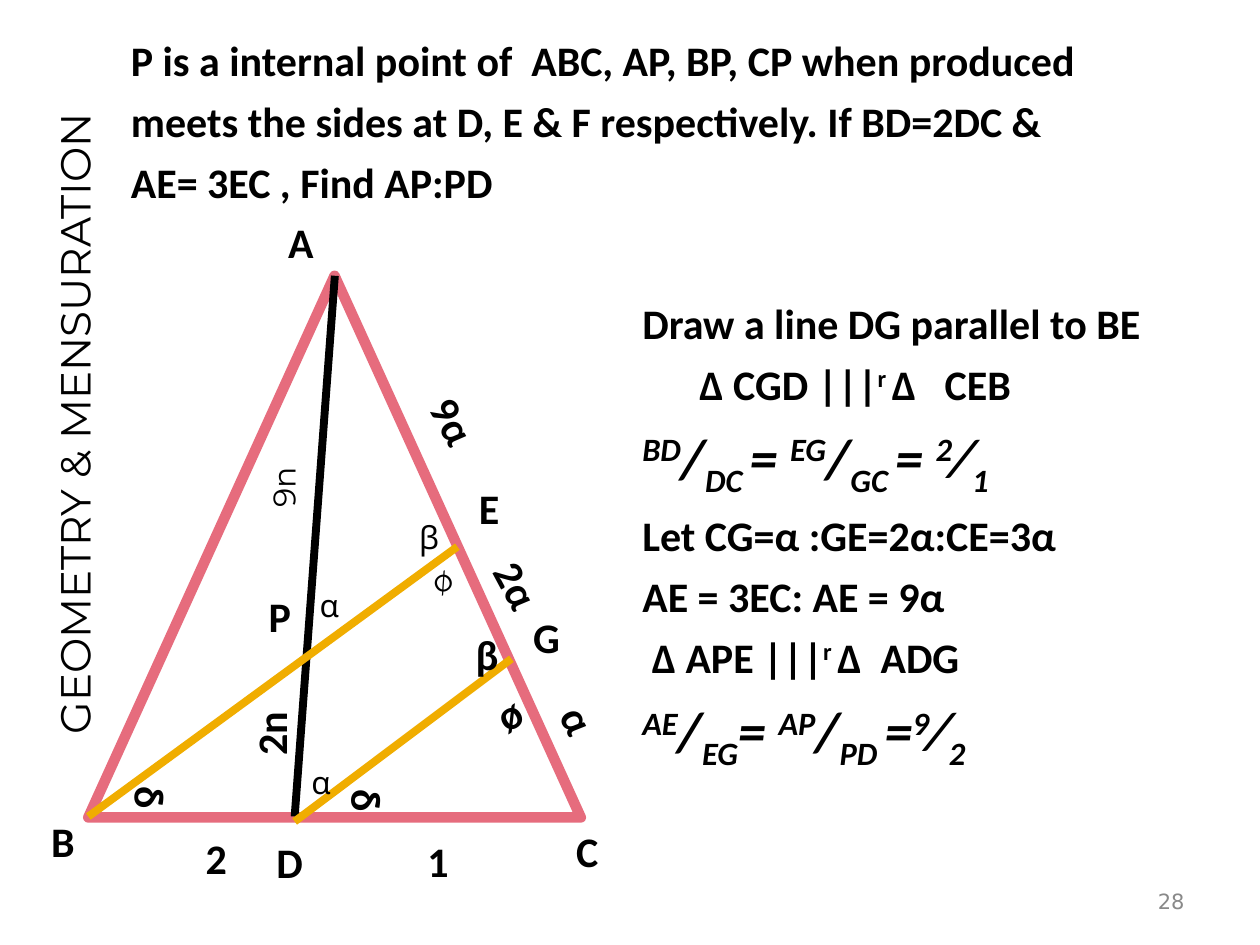
import dataclasses

import lxml.etree
import pptx
import pptx.dml.color
import pptx.enum.shapes
import pptx.enum.text
import pptx.oxml.ns
import pptx.util

Cm = pptx.util.Cm
Pt = pptx.util.Pt
Align = pptx.enum.text.PP_ALIGN
Anchor = pptx.enum.text.MSO_ANCHOR


def rgb(value):
    return pptx.dml.color.RGBColor.from_string(value)


@dataclasses.dataclass(frozen=True)
class Theme:
    ink: object = rgb("000000")
    paper: object = rgb("FFFFFF")
    muted: object = rgb("898989")
    side: object = rgb("E66C7D")
    parallel: object = rgb("F0AD00")
    side_width: object = Pt(6)
    inner_width: object = Pt(4.5)

    def style(self, name):
        return {
            "bold": {"name": "Calibri", "size": Pt(24), "bold": True},
            "ratio": {"name": "Calibri", "size": Pt(32), "bold": True, "italic": True},
            "light": {"name": "Montserrat", "size": Pt(18)},
            "topic": {"name": "Montserrat", "size": Pt(24)},
            "number": {"name": "DejaVu Sans", "size": Pt(12)},
        }[name]


THEME = Theme()
UP, DOWN = 30, -25

TRIANGLE = (1.78, 5.56, 9.93, 10.92)
A, B, D, E, G = (6.75, 5.56), (1.78, 16.46), (5.94, 16.46), (9.22, 11.02), (10.31, 13.28)
D_LOW = (5.94, 16.56)

VERTEX, MARK = (2.54, 2.54), (1.4, 1.78)
LABELS = [
    ("A", "bold", (5.56, 4.37), (0.99, 0.99), 0),
    ("B", "bold", (0, 15.67), VERTEX, 0),
    ("D", "bold", (4.57, 16.1), VERTEX, 0),
    ("C", "bold", (10.57, 15.88), VERTEX, 0),
    ("E", "bold", (8.59, 8.97), VERTEX, 0),
    ("P", "bold", (4.37, 11.15), VERTEX, 0),
    ("G", "bold", (9.75, 11.56), VERTEX, 0),
    ("α", "light", (5.94, 11.3), MARK, 0),
    ("α", "light", (5.77, 14.88), MARK, 0),
    ("β", "light", (7.95, 9.93), MARK, 0),
    ("β", "bold", (9.12, 12.29), MARK, 0),
    ("ø", "bold", (9.68, 13.72), MARK, 150.2),
    ("ø", "light", (8.28, 10.95), MARK, 150.2),
    ("δ", "bold", (6.76, 15.42), (1.32, 1.45), 90),
    ("δ", "bold", (2.44, 15.37), (1.22, 1.42), 90),
    ("9n", "light", (4.55, 9.25), (2.31, 1.14), 270),
    ("2n", "bold", (4.47, 14), (1.96, 1.57), 270),
    ("9α", "bold", (8.08, 7.7), (2.13, 1.57), 61.1),
    ("2α", "bold", (9.37, 11), (2.13, 1.6), 61.8),
    ("2", "bold", (3.66, 16.41), MARK, 0),
    ("1", "bold", (8.13, 16.46), MARK, 0),
    ("α", "bold", (10.87, 13.77), (1.6, 1.47), 63),
]

QUESTION = [
    "P is a internal point of  ABC, AP, BP, CP when produced",
    "meets the sides at D, E & F respectively. If BD=2DC & ",
    "AE= 3EC , Find AP:PD",
]


def fraction(top, slash, bottom, follow=""):
    parts = [(top, UP), (slash, 0), (bottom, DOWN), (follow, 0)]
    return [part for part in parts if part[0]]


def similar(first, second):
    return [(first, 0), ("r ", UP), (second, 0)]


PROOF = [
    ("bold", 0, [("Draw a line DG parallel to BE", 0)]),
    ("bold", 1.15, similar("∆ CGD |||", "∆   CEB")),
    ("ratio", 0, fraction("BD", "/", "DC ", "= ")
     + fraction("EG", "/", "GC ", "= ") + fraction("2", "⁄", "1")),
    ("bold", 0, [("Let CG=α :GE=2α:CE=3α", 0)]),
    ("bold", 0, [("AE = 3EC: AE = 9α", 0)]),
    ("bold", 0.19, similar("∆ APE |||", "∆  ADG")),
    ("ratio", 0, fraction("AE", "/", "EG", "= ")
     + fraction("AP", "/", "PD ", "=") + fraction("9", "⁄", "2")),
]


def assign(target, values):
    for name, value in values.items():
        setattr(target, name, value)


def add_box(page, place, anchor=Anchor.TOP, rotation=0):
    box = page.shapes.add_textbox(*map(Cm, place))
    box.rotation = rotation
    assign(box.text_frame, {"word_wrap": True, "vertical_anchor": anchor})
    return box.text_frame


def add_span(para, text, style, color=THEME.ink, baseline=0):
    span = para.add_run()
    span.text = text
    assign(span.font, THEME.style(style))
    span.font.color.rgb = color
    if baseline:
        span.font._element.set("baseline", str(baseline * 1000))


def add_label(page, text, style, place, rotation=0, align=Align.CENTER, color=THEME.ink):
    para = add_box(page, place, Anchor.MIDDLE, rotation).paragraphs[0]
    para.alignment = align
    add_span(para, text, style, color)


def add_lines(page, place, lines, align=Align.LEFT):
    frame = add_box(page, place)
    for index, (style, indent, spans) in enumerate(lines):
        para = frame.add_paragraph() if index else frame.paragraphs[0]
        para.alignment = align
        if index:
            para.space_before = Pt(8 if style == "ratio" else 6)
        if indent:
            para._p.get_or_add_pPr().set("marL", str(Cm(indent)))
        for text, baseline in spans:
            add_span(para, text, style, baseline=baseline)


def add_triangle(page):
    shape = page.shapes.add_shape(
        pptx.enum.shapes.MSO_SHAPE.ISOSCELES_TRIANGLE, *map(Cm, TRIANGLE))
    shape.shadow.inherit = False
    shape.fill.solid()
    shape.fill.fore_color.rgb = THEME.paper
    shape.line.color.rgb = THEME.side
    shape.line.width = THEME.side_width


def add_segment(page, start, end, color):
    segment = page.shapes.add_connector(
        pptx.enum.shapes.MSO_CONNECTOR.STRAIGHT, *map(Cm, start + end))
    segment.line.color.rgb = color
    segment.line.width = THEME.inner_width
    lxml.etree.SubElement(segment._element.spPr, pptx.oxml.ns.qn("a:effectLst"))


def main():
    deck = pptx.Presentation()
    assign(deck, {"slide_width": Cm(25.4), "slide_height": Cm(19.05)})
    page = deck.slides.add_slide(deck.slide_layouts[6])

    add_label(page, "GEOMETRY & MENSURATION", "topic", (-5.66, 7.65, 14.3, 1.78), 270)
    add_lines(page, (12.7, 5.87, 12.12, 10.59), PROOF)
    add_label(page, "28", "number", (18.21, 17.65, 5.92, 1.02),
              align=Align.RIGHT, color=THEME.muted)
    add_triangle(page)
    add_segment(page, A, D, THEME.ink)
    add_segment(page, E, B, THEME.parallel)
    add_segment(page, G, D_LOW, THEME.parallel)
    for text, style, corner, size, rotation in LABELS:
        add_label(page, text, style, corner + size, rotation)
    add_lines(page, (2.39, 0.58, 21.64, 3.38),
              [("bold", 0, [(text, 0)]) for text in QUESTION], Align.JUSTIFY)

    deck.save("out.pptx")


if __name__ == "__main__":
    main()
